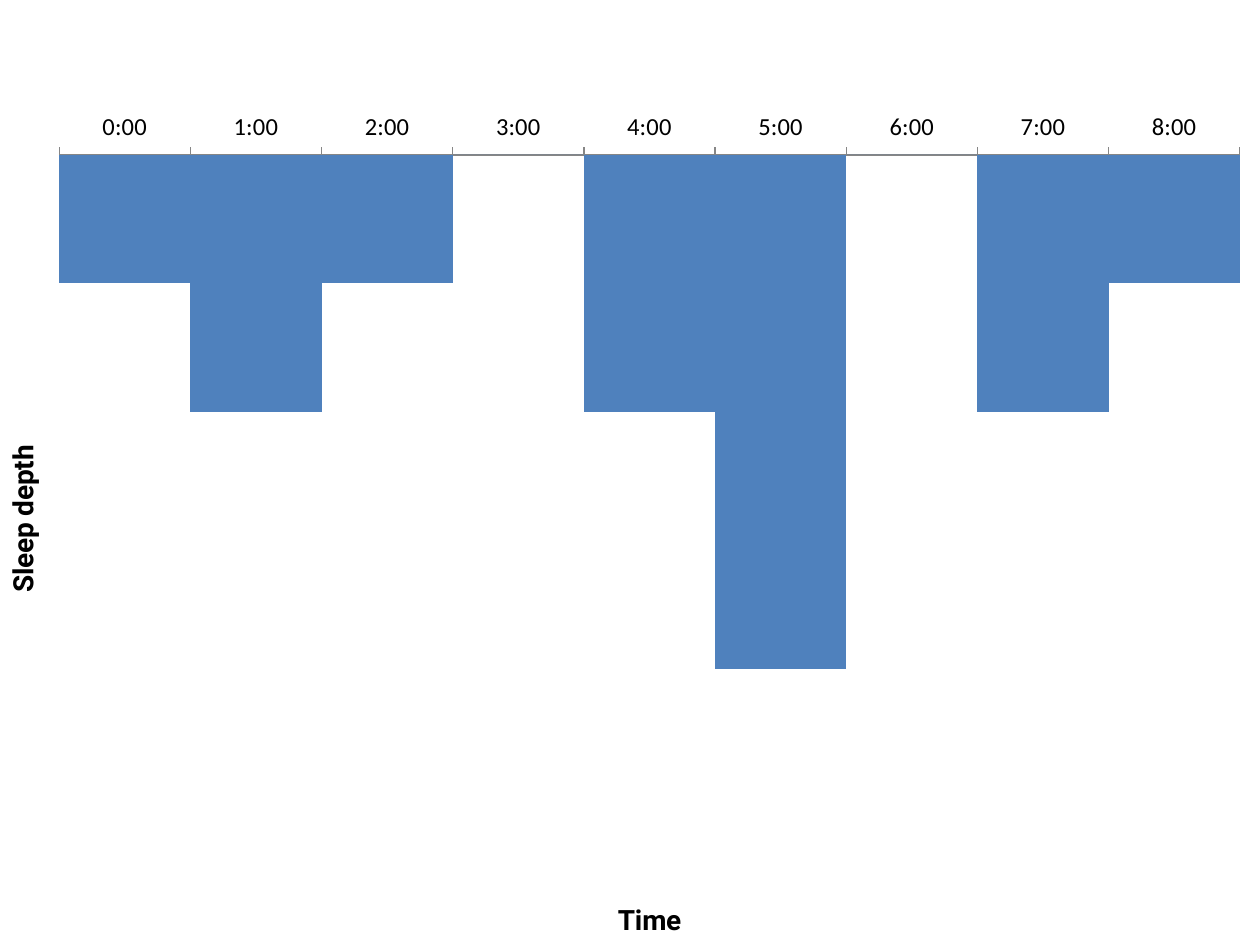
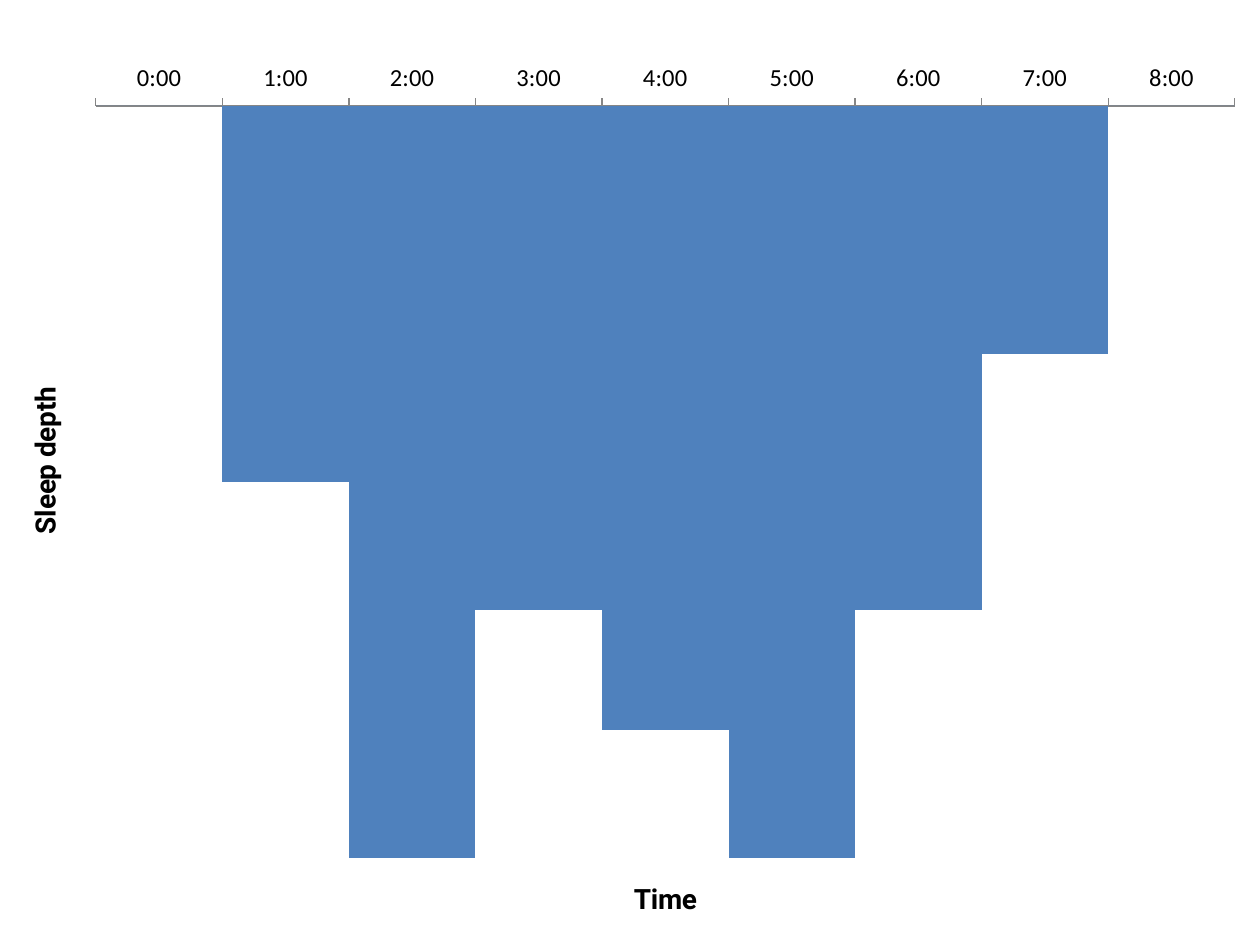
from dataclasses import dataclass
from typing import Optional

import pptx
import pptx.chart.data
import pptx.dml.color
import pptx.enum.chart
import pptx.oxml
import pptx.oxml.ns
import pptx.util
from pptx.util import Inches

COLORS = {"bar": "4F81BD", "axis": "868686", "text": "000000"}
BODY_FONT = "Calibri"
TITLE_FONT = "Roboto"
HOURS = [f"{hour}:00" for hour in range(9)]


@dataclass
class SleepChart:
    top: float
    height: float
    max_depth: int
    depths: tuple[int, ...]
    plot: Optional[tuple[float, float, float, float]] = None


CHARTS = [
    SleepChart(0, 7.5, 150, (25, 50, 25, 0, 50, 100, 0, 50, 25),
               (0.047, 0.164, 0.937, 0.816)),
    SleepChart(0.36, 7.14, 100, (0, 50, 100, 67, 83, 100, 67, 33, 0)),
]


def rgb(name: str) -> pptx.dml.color.RGBColor:
    return pptx.dml.color.RGBColor.from_string(COLORS[name])


def style_font(font, name: str, size: int, bold: bool = False) -> None:
    font.name = name
    font.size = pptx.util.Pt(size)
    font.bold = bold
    font.color.rgb = rgb("text")


def add_axis_title(axis, text: str) -> None:
    p = axis.axis_title.text_frame.paragraphs[0]
    r = p.add_run()
    r.text = text
    style_font(r.font, TITLE_FONT, 16, True)


def place_plot(chart, plot: tuple[float, float, float, float]) -> None:
    area = chart._chartSpace.chart.plotArea
    for old in area.findall(pptx.oxml.ns.qn("c:layout")):
        area.remove(old)
    sizes = "".join(f'<c:{tag} val="{value}"/>' for tag, value in zip("xywh", plot))
    area.insert(0, pptx.oxml.parse_xml(
        f'<c:layout {pptx.oxml.ns.nsdecls("c")}><c:manualLayout>'
        '<c:layoutTarget val="inner"/><c:xMode val="edge"/><c:yMode val="edge"/>'
        f"{sizes}</c:manualLayout></c:layout>"))


def add_sleep_chart(s, sleep: SleepChart) -> None:
    data = pptx.chart.data.CategoryChartData()
    data.categories = HOURS
    data.add_series("Series 1", sleep.depths)
    chart = s.shapes.add_chart(
        pptx.enum.chart.XL_CHART_TYPE.COLUMN_CLUSTERED, Inches(0),
        Inches(sleep.top), Inches(10), Inches(sleep.height), data).chart
    chart.has_title = False
    chart.has_legend = False
    style_font(chart.font, BODY_FONT, 10)

    bars = chart.plots[0]
    bars.gap_width = 0
    bars.vary_by_categories = False
    fill = bars.series[0].format.fill
    fill.solid()
    fill.fore_color.rgb = rgb("bar")

    time = chart.category_axis
    time.has_major_gridlines = False
    time.major_tick_mark = pptx.enum.chart.XL_TICK_MARK.OUTSIDE
    time.format.line.color.rgb = rgb("axis")
    style_font(time.tick_labels.font, BODY_FONT, 14)
    add_axis_title(time, "Time")

    depth = chart.value_axis
    depth.has_major_gridlines = False
    depth.minimum_scale = 0
    depth.maximum_scale = sleep.max_depth
    depth.reverse_order = True
    depth.visible = False
    add_axis_title(depth, "Sleep depth")

    if sleep.plot:
        place_plot(chart, sleep.plot)


def main() -> None:
    prs = pptx.Presentation()
    prs.slide_width, prs.slide_height = Inches(10), Inches(7.5)
    for sleep in CHARTS:
        add_sleep_chart(prs.slides.add_slide(prs.slide_layouts[6]), sleep)
    prs.save("out.pptx")


if __name__ == "__main__":
    main()
